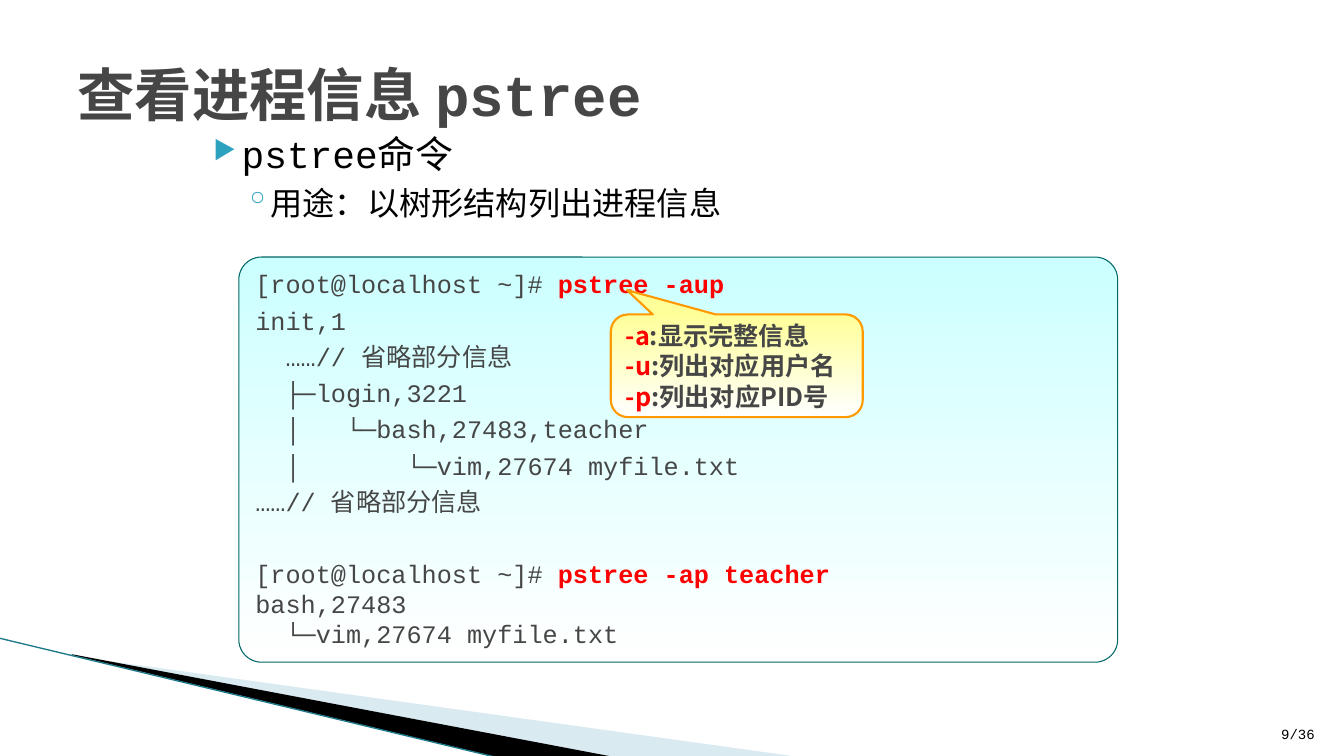
"""Build the slide on viewing process information with pstree."""
from pptx import Presentation
from pptx.dml.color import RGBColor
from pptx.enum.shapes import MSO_CONNECTOR, MSO_SHAPE
from pptx.enum.text import MSO_ANCHOR, PP_ALIGN
from pptx.oxml.ns import qn
from pptx.util import Pt
from lxml.etree import SubElement

MONO, SANS = "Courier New", "Noto Sans CJK SC"
GREY, RED, BLACK, TEAL = "464646", "FF0000", "000000", "2DA2BF"

TITLE = "查看进程信息 pstree"
PAGE = "9/36"
POINTS = [
    ("pstree命令", 27, 6.8, 28.8, -20.2, "▶", 68),
    ("用途：以树形结构列出进程信息", 23, 4.8, 49, -18, "◦", 100),
]
PROMPT = "[root@localhost ~]# "
CODE = [
    (PROMPT, "pstree -aup", 1),
    ("init,1", "", 1.2),
    ("  ……// 省略部分信息", "", 1.2),
    ("  ├─login,3221", "", 1.2),
    ("  │   └─bash,27483,teacher", "", 1.2),
    ("  │       └─vim,27674 myfile.txt", "", 1.2),
    ("……// 省略部分信息", "", 1.2),
    ("", "", 1.2),
    (PROMPT, "pstree -ap teacher", 1),
    ("bash,27483", "", 1),
    ("  └─vim,27674 myfile.txt", "", 1),
]
FLAGS = [("-a", ":显示完整信息"), ("-u", ":列出对应用户名"), ("-p", ":列出对应PID号")]
WEDGES = [
    ([(52.6, 468.7), (571, 540.7), (437.8, 540.7), (52.6, 468)], "A0CBDC", 40),
    ([(51.1, 467.3), (438.5, 540.7), (357.1, 541.4), (51.8, 468)], BLACK, 100),
]
EDGE = (-0.7, 455.8, 356.4, 541.4)


def color(code):
    return RGBColor.from_string(code)


def style(run, size, tint, face=MONO, bold=False):
    font = run.font
    font.size, font.bold, font.name = Pt(size), bold, face
    font.color.rgb = color(tint)
    SubElement(run._r.get_or_add_rPr(), qn("a:ea")).set("typeface", SANS)


def bullet(para, left, hang, mark, size):
    props = para._p.get_or_add_pPr()
    props.set("marL", str(Pt(left)))
    props.set("indent", str(Pt(hang)))
    tint = SubElement(props, qn("a:buClr"))
    SubElement(tint, qn("a:srgbClr")).set("val", TEAL)
    SubElement(props, qn("a:buSzPct")).set("val", str(size * 1000))
    SubElement(props, qn("a:buChar")).set("char", mark)


def add_text(slide, *box):
    frame = slide.shapes.add_textbox(*map(Pt, box)).text_frame
    frame.word_wrap = True
    return frame


def add_panel(slide, kind, box, adjust, top, edge, width):
    panel = slide.shapes.add_shape(kind, *map(Pt, box))
    panel.shadow.inherit = False
    for i, value in enumerate(adjust):
        panel.adjustments[i] = value
    panel.fill.gradient()
    panel.fill.gradient_angle = 270
    for stop, tint, place in zip(panel.fill.gradient_stops, (top, "FFFFFF"), (0, 1)):
        stop.color.rgb, stop.position = color(tint), place
    panel.line.color.rgb, panel.line.width = color(edge), Pt(width)
    panel.text_frame.word_wrap = True
    return panel.text_frame


def get_para(frame, i):
    para = frame.add_paragraph() if i else frame.paragraphs[0]
    para.alignment = PP_ALIGN.LEFT
    return para


def add_run(para, text, *look):
    run = para.add_run()
    run.text = text
    style(run, *look)


def add_decor(slide):
    for dots, tint, alpha in WEDGES:
        start, *rest = [(Pt(x), Pt(y)) for x, y in dots]
        build = slide.shapes.build_freeform(*start)
        build.add_line_segments(rest)
        wedge = build.convert_to_shape()
        wedge.shadow.inherit = False
        wedge.fill.solid()
        wedge.fill.fore_color.rgb = color(tint)
        wedge.line.fill.background()
        if alpha < 100:
            node = wedge._element.spPr.find(".//" + qn("a:srgbClr"))
            SubElement(node, qn("a:alpha")).set("val", str(alpha * 1000))
    edge = slide.shapes.add_connector(MSO_CONNECTOR.STRAIGHT, *map(Pt, EDGE))
    edge.line.color.rgb, edge.line.width = color("1F7A8C"), Pt(0.95)
    SubElement(edge._element.spPr, qn("a:effectLst"))


def main():
    deck = Presentation()
    deck.slide_width, deck.slide_height = Pt(960), Pt(540)
    slide = deck.slides.add_slide(deck.slide_layouts[5])
    add_decor(slide)

    title = slide.shapes.title
    title.left, title.top, title.width, title.height = map(Pt, (48, 21.6, 864, 90))
    title.text_frame.text = TITLE
    title.text_frame.vertical_anchor = MSO_ANCHOR.MIDDLE
    head = title.text_frame.paragraphs[0]
    head.alignment = PP_ALIGN.LEFT
    style(head.runs[0], 41, GREY, MONO, True)

    body = add_text(slide, 136.8, 90, 669.6, 80)
    for i, (text, size, gap, *mark) in enumerate(POINTS):
        para = get_para(body, i)
        bullet(para, *mark)
        if i:
            para.space_before = Pt(gap)
        add_run(para, text, size, BLACK)

    page = add_text(slide, 907.9, 504.7, 38.2, 28.8)
    page.vertical_anchor = MSO_ANCHOR.BOTTOM
    para = page.paragraphs[0]
    para.alignment = PP_ALIGN.RIGHT
    add_run(para, PAGE, 10, BLACK)

    code = add_panel(slide, MSO_SHAPE.ROUNDED_RECTANGLE, (170.6, 183.6, 627.8, 289.4),
                     [0.056], "CCFFFF", "006666", 0.75)
    code.vertical_anchor = MSO_ANCHOR.TOP
    for i, (text, order, space) in enumerate(CODE):
        para = get_para(code, i)
        para.line_spacing = space
        if text:
            add_run(para, text, 18, GREY)
        else:
            para.space_before = Pt(3.6)
            para.font.size = Pt(18)
        if order:
            add_run(para, order, 18, RED, MONO, True)

    note = add_panel(slide, MSO_SHAPE.ROUNDED_RECTANGULAR_CALLOUT, (436.3, 224.6, 180, 73.4),
                     [-0.436, -0.737, 0.167], "FFFF99", "FF9900", 1.5)
    note.vertical_anchor = MSO_ANCHOR.MIDDLE
    for i, (flag, use) in enumerate(FLAGS):
        para = get_para(note, i)
        add_run(para, flag, 18, RED, SANS, True)
        add_run(para, use, 18, GREY, SANS, True)

    deck.save("out.pptx")


if __name__ == "__main__":
    main()
